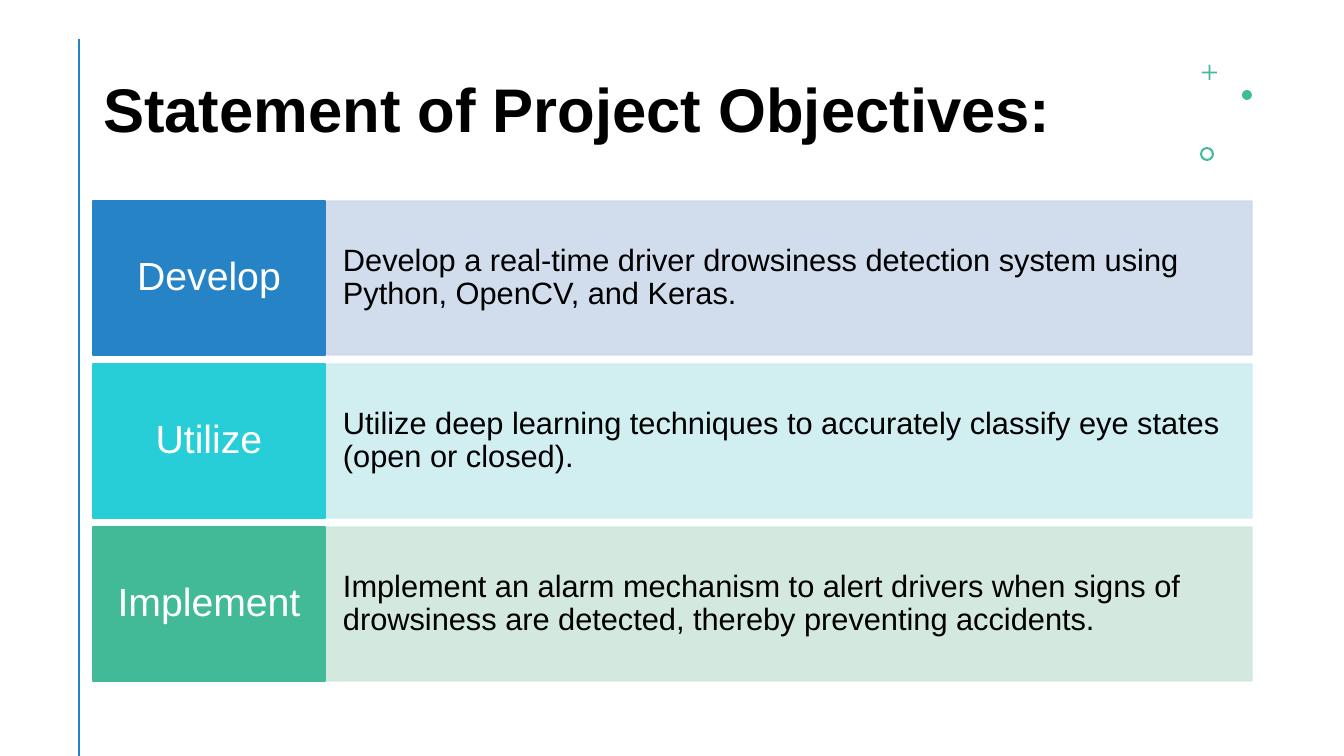
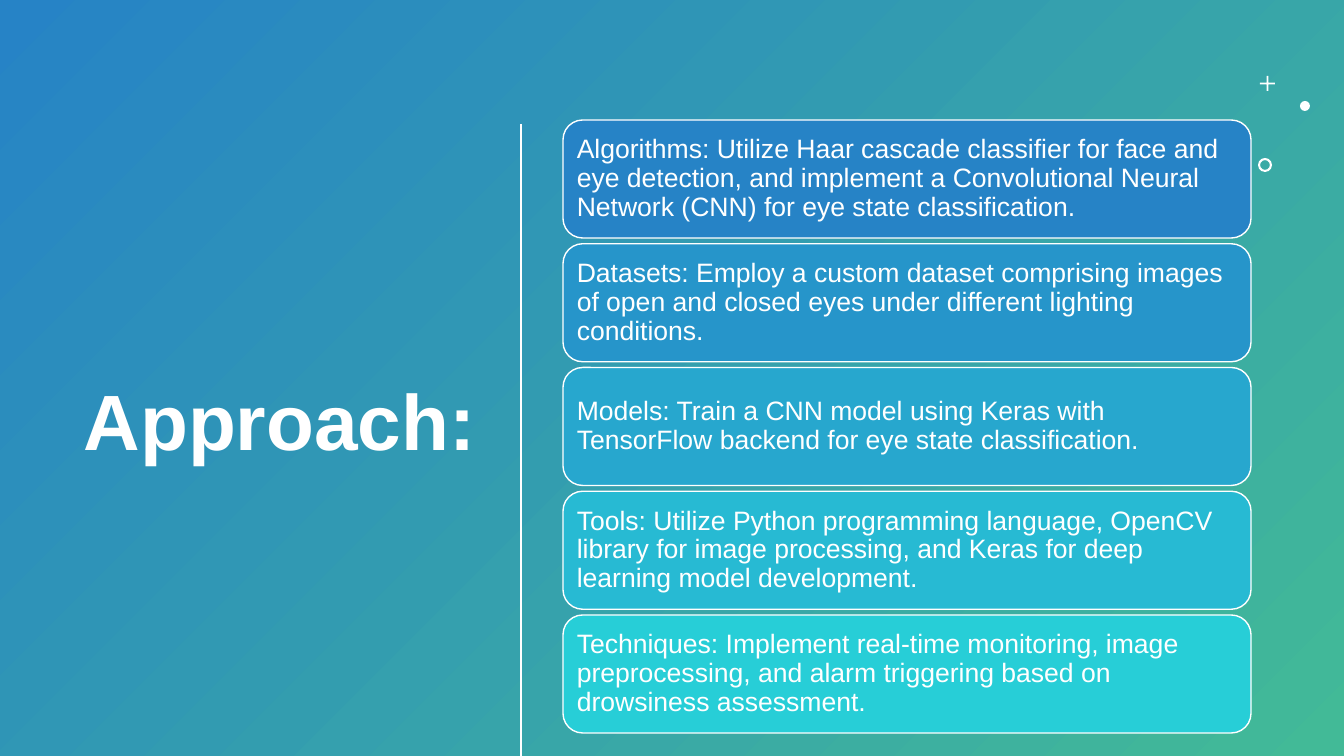
from lxml import etree
from pptx import Presentation
from pptx.dml.color import RGBColor
from pptx.enum.shapes import MSO_CONNECTOR, MSO_SHAPE
from pptx.enum.text import MSO_ANCHOR, MSO_AUTO_SIZE, PP_ALIGN
from pptx.oxml.ns import qn
from pptx.util import Emu, Pt

RECT, ROUNDED = MSO_SHAPE.RECTANGLE, MSO_SHAPE.ROUNDED_RECTANGLE
CROSS, OVAL, RING = MSO_SHAPE.CROSS, MSO_SHAPE.OVAL, MSO_SHAPE.DONUT
STRAIGHT = MSO_CONNECTOR.STRAIGHT
LEFT, CENTER, RIGHT = PP_ALIGN.LEFT, PP_ALIGN.CENTER, PP_ALIGN.RIGHT
MIDDLE = MSO_ANCHOR.MIDDLE
FIXED_SIZE = MSO_AUTO_SIZE.NONE

WIDTH, HEIGHT = 1344, 756
EMU_PER_PX = 12192000 / WIDTH
TITLE_ONLY = 5

FONT = "Arial"
BLACK, WHITE = "000000", "FFFFFF"
BLUE, CYAN, GREEN = "2683C6", "27CED7", "42BA97"

OBJECTIVES = [
    ("Develop", BLUE, "CDD9EA",
     "Develop a real-time driver drowsiness detection system using Python, OpenCV, and Keras."),
    ("Utilize", CYAN, "CDEDF0",
     "Utilize deep learning techniques to accurately classify eye states (open or closed)."),
    ("Implement", GREEN, "CFE7DD",
     "Implement an alarm mechanism to alert drivers when signs of drowsiness are detected, "
     "thereby preventing accidents."),
]
APPROACH = [
    (BLUE, "Algorithms: Utilize Haar cascade classifier for face and eye detection, "
           "and implement a Convolutional Neural Network (CNN) for eye state classification."),
    ("2695CA", "Datasets: Employ a custom dataset comprising images of open and closed eyes "
               "under different lighting conditions."),
    ("27A7CE", "Models: Train a CNN model using Keras with TensorFlow backend "
               "for eye state classification."),
    ("27BAD3", "Tools: Utilize Python programming language, OpenCV library for image "
               "processing, and Keras for deep learning model development."),
    (CYAN, "Techniques: Implement real-time monitoring, image preprocessing, "
           "and alarm triggering based on drowsiness assessment."),
]


def px(length):
    return Emu(round(length * EMU_PER_PX))


def rgb(color):
    return RGBColor.from_string(color)


class Deck:
    def __init__(self):
        self.prs = Presentation()
        self.prs.slide_width, self.prs.slide_height = px(WIDTH), px(HEIGHT)
        self.slide = None

    def new_slide(self):
        self.slide = self.prs.slides.add_slide(self.prs.slide_layouts[TITLE_ONLY])

    def gradient_background(self, start, end):
        fill = self.slide.background.fill
        fill.gradient()
        fill.gradient_angle = 315
        for stop, color in zip(fill.gradient_stops, (start, end)):
            stop.color.rgb = rgb(color)

    def set_text(self, frame, text, size, color, align, bold=False):
        frame.word_wrap = True
        frame.auto_size = FIXED_SIZE
        frame.vertical_anchor = MIDDLE
        frame.text = text
        paragraph = frame.paragraphs[0]
        paragraph.alignment = align
        paragraph.line_spacing = 0.9
        font = paragraph.font
        font.name, font.size, font.bold = FONT, Pt(size), bold
        font.color.rgb = rgb(color)

    def title(self, text, box, size, color, align):
        title = self.slide.shapes.title
        title.left, title.top, title.width, title.height = map(px, box)
        self.set_text(title.text_frame, text, size, color, align, bold=True)

    def shape(self, preset, box, fill, line=None, adjust=None):
        shape = self.slide.shapes.add_shape(preset, *map(px, box))
        shape.shadow.inherit = False
        shape.fill.solid()
        shape.fill.fore_color.rgb = rgb(fill)
        if line:
            shape.line.color.rgb = rgb(line)
            shape.line.width = Pt(1)
        else:
            shape.line.fill.background()
        if adjust is not None:
            shape.adjustments[0] = adjust
        return shape

    def text_block(self, preset, box, text, size, fill, line, color=WHITE,
                   align=LEFT, inset=8, opacity=100):
        """Add a filled shape with text; opacity is a percentage."""
        block = self.shape(preset, box, fill, line)
        if opacity < 100:
            for srgb in block.element.spPr.iter(qn("a:srgbClr")):
                etree.SubElement(srgb, qn("a:alpha")).set("val", str(opacity * 1000))
        frame = block.text_frame
        frame.margin_left = frame.margin_right = px(inset)
        frame.margin_top = frame.margin_bottom = px(8)
        self.set_text(frame, text, size, color, align)

    def rule(self, x, top, color):
        """Draw a vertical line down to the bottom edge."""
        rule = self.slide.shapes.add_connector(STRAIGHT, px(x), px(top), px(x), px(HEIGHT))
        rule.line.color.rgb = rgb(color)
        rule.line.width = Pt(2)
        etree.SubElement(rule.element.spPr, qn("a:effectLst"))

    def ornaments(self, left, top, color):
        """Scatter the plus, dot and ring from their common top left corner."""
        for preset, dx, dy, side, adjust in ((CROSS, 2, 0, 15, 0.44),
                                             (OVAL, 42, 25, 10, None),
                                             (RING, 0, 82, 14, 0.15)):
            self.shape(preset, (left + dx, top + dy, side, side), color, adjust=adjust)


def objectives_slide(deck):
    deck.new_slide()
    deck.title("Statement of Project Objectives:", (93, 40, 1085, 146), 44, BLACK, LEFT)
    deck.rule(79, 39, BLUE)
    deck.ornaments(1200, 65, GREEN)
    left, split, right = 93, 325, 1252
    first_top, pitch, height = 201, 163, 154
    for row, (label, accent, tint, objective) in enumerate(OBJECTIVES):
        top = first_top + row * pitch
        deck.text_block(RECT, (split, top, right - split, height), objective, 22,
                        tint, tint, color=BLACK, inset=18, opacity=90)
        deck.text_block(RECT, (left, top, split - left, height), label, 28,
                        accent, accent, align=CENTER, inset=12)


def approach_slide(deck):
    deck.new_slide()
    deck.gradient_background(BLUE, GREEN)
    deck.title("Approach:", (52, 117, 434, 616), 56, WHITE, RIGHT)
    deck.ornaments(1258, 76, WHITE)
    deck.rule(521, 124, WHITE)
    first_top, last_top = 120, 615
    pitch = (last_top - first_top) / (len(APPROACH) - 1)
    for row, (fill, step) in enumerate(APPROACH):
        deck.text_block(ROUNDED, (563, first_top + row * pitch, 688, 118), step, 19,
                        fill, WHITE)


def main():
    deck = Deck()
    objectives_slide(deck)
    approach_slide(deck)
    deck.prs.save("out.pptx")


if __name__ == "__main__":
    main()
